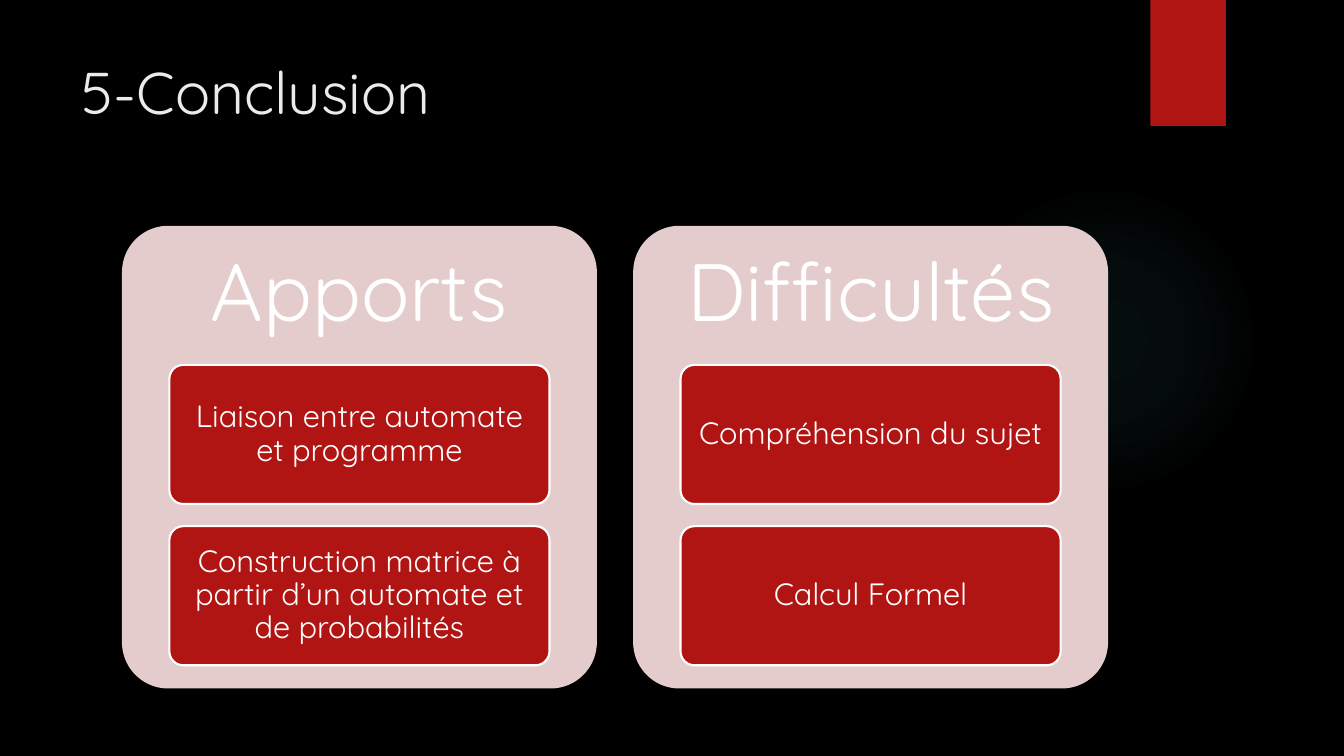
from lxml import etree
from pptx import Presentation
from pptx.dml.color import RGBColor
from pptx.enum.shapes import MSO_SHAPE
from pptx.enum.text import MSO_ANCHOR, PP_ALIGN
from pptx.oxml import parse_xml
from pptx.oxml.ns import nsdecls, qn
from pptx.util import Inches, Pt

RECTANGLE, ROUNDED, OVAL = MSO_SHAPE.RECTANGLE, MSO_SHAPE.ROUNDED_RECTANGLE, MSO_SHAPE.OVAL
TOP, MIDDLE = MSO_ANCHOR.TOP, MSO_ANCHOR.MIDDLE
LEFT, CENTER = PP_ALIGN.LEFT, PP_ALIGN.CENTER

TITLE = "5-Conclusion"
CARDS = [
    ("Apports", ["Liaison entre automate et programme",
                 "Construction matrice à partir d’un automate et de probabilités"]),
    ("Difficultés", ["Compréhension du sujet", "Calcul Formel"]),
]
FONT = "Quicksand"
COLORS = {"background": "000000", "red": "B01513", "card": "E4CCCC",
          "title": "EBEBEB", "white": "FFFFFF", "glow": "50B9C1"}
GLOW_STOPS = [(0, 7), (36, 6), (69, 0)]  # position and opacity, in percent

CARD_LEFT, CARD_TOP, CARD_WIDTH, CARD_HEIGHT = 1.21, 2.24, 4.71, 4.59
CARD_STEP = 5.07
HEADING_HEIGHT = 1.38
ITEM_WIDTH, ITEM_HEIGHT, ITEM_STEP = 3.77, 1.38, 1.6


def color(name):
    """Return a palette colour."""
    return RGBColor.from_string(COLORS[name])


def add_box(slide, kind, box, fill, line=None):
    """Add a flat preset shape, outlined only when a line colour is given."""
    shape = slide.shapes.add_shape(kind, *map(Inches, box))
    shape.shadow.inherit = False
    shape.fill.solid()
    shape.fill.fore_color.rgb = color(fill)
    if line:
        shape.line.color.rgb = color(line)
        shape.line.width = Pt(1.5)
    else:
        shape.line.fill.background()
    if kind == ROUNDED:
        shape.adjustments[0] = 0.1
    return shape


def write(shape, text, size, ink, margins, anchor=MIDDLE, align=CENTER, spacing=0.9):
    """Put one styled paragraph in a shape, with (side, top) margins."""
    frame = shape.text_frame
    frame.word_wrap = True
    frame.vertical_anchor = anchor
    frame.margin_left = frame.margin_right = Inches(margins[0])
    frame.margin_top = frame.margin_bottom = Inches(margins[1])
    paragraph = frame.paragraphs[0]
    paragraph.text = text
    paragraph.alignment = align
    paragraph.line_spacing = spacing
    paragraph.font.name = FONT
    paragraph.font.size = Pt(size)
    paragraph.font.color.rgb = color(ink)


def add_glow(slide, box):
    """Add a faint circle that fades out from its centre."""
    glow = add_box(slide, OVAL, box, "glow")
    gradient = parse_xml(
        f'<a:gradFill {nsdecls("a")}><a:gsLst/><a:path path="circle">'
        '<a:fillToRect l="50000" t="50000" r="50000" b="50000"/></a:path></a:gradFill>')
    for position, opacity in GLOW_STOPS:
        stop = etree.SubElement(gradient[0], qn("a:gs"), pos=str(position * 1000))
        tint = etree.SubElement(stop, qn("a:srgbClr"), val=COLORS["glow"])
        etree.SubElement(tint, qn("a:alpha"), val=str(opacity * 1000))
    properties = glow._element.spPr
    properties.replace(properties.find(qn("a:solidFill")), gradient)


def add_card(slide, left, heading, items):
    """Add a card with its heading and a stack of items."""
    add_box(slide, ROUNDED, (left, CARD_TOP, CARD_WIDTH, CARD_HEIGHT), "card")
    heading_box = slide.shapes.add_textbox(
        *map(Inches, (left, CARD_TOP, CARD_WIDTH, HEADING_HEIGHT)))
    write(heading_box, heading, 58, "white", (0.24, 0.24))
    item_left = left + (CARD_WIDTH - ITEM_WIDTH) / 2
    for row, text in enumerate(items):
        item_top = CARD_TOP + HEADING_HEIGHT + row * ITEM_STEP
        item = add_box(slide, ROUNDED, (item_left, item_top, ITEM_WIDTH, ITEM_HEIGHT),
                       "red", "white")
        write(item, text, 22, "white", (0.06, 0.05))


presentation = Presentation()
presentation.slide_width, presentation.slide_height = Inches(13.33), Inches(7.5)
slide = presentation.slides.add_slide(presentation.slide_layouts[6])
slide.background.fill.solid()
slide.background.fill.fore_color.rgb = color("background")

add_glow(slide, (9.41, 1.83, 3.08, 3.08))
add_box(slide, RECTANGLE, (11.41, 0, 0.75, 1.25), "red")
title = slide.shapes.add_textbox(*map(Inches, (0.71, 0.5, 10.29, 1.53)))
write(title, TITLE, 42, "title", (0.1, 0.05), TOP, LEFT, 1.0)
for column, (heading, items) in enumerate(CARDS):
    add_card(slide, CARD_LEFT + column * CARD_STEP, heading, items)

presentation.save("out.pptx")
